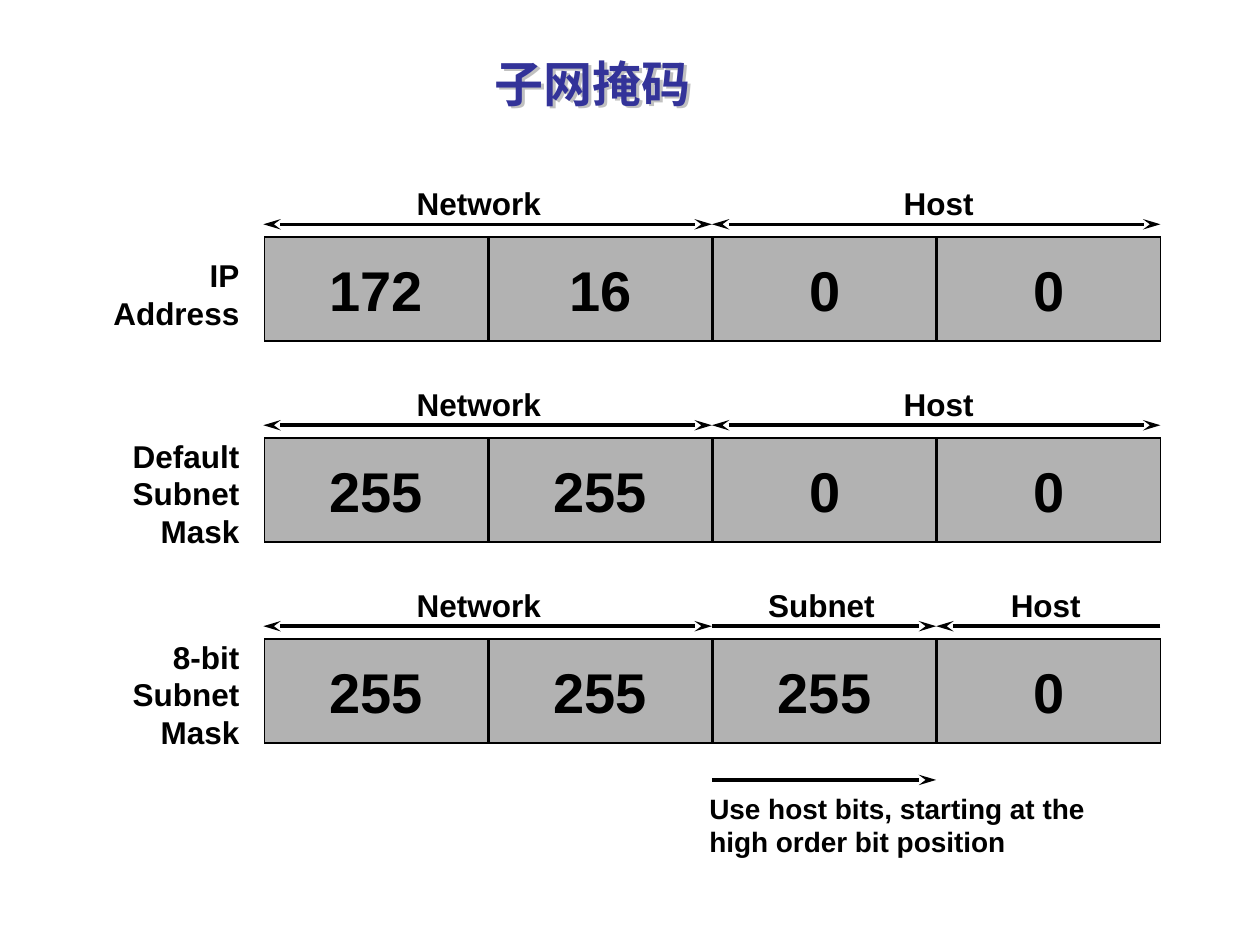
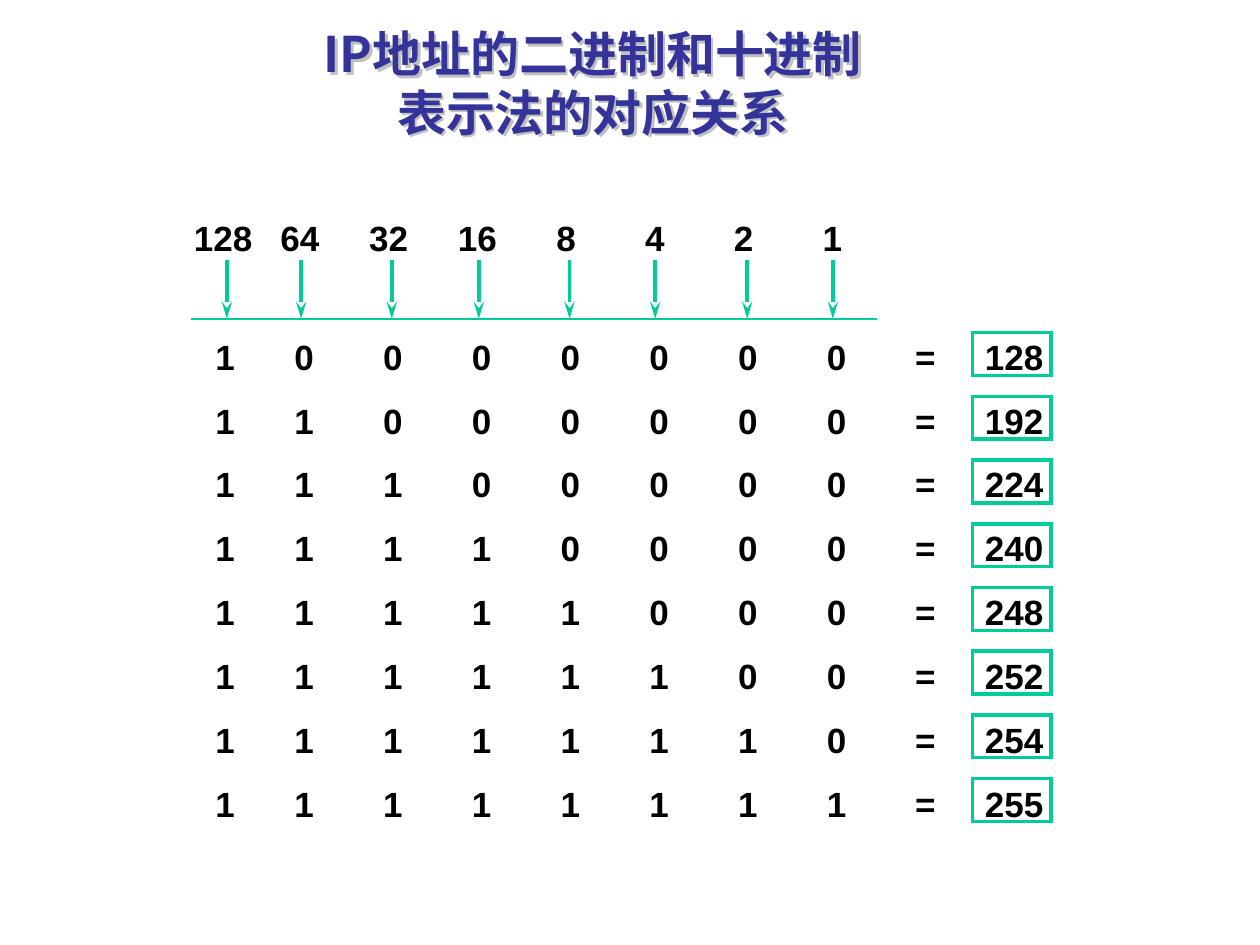
from typing import NamedTuple, Optional

from lxml import etree
from pptx import Presentation
from pptx import util as u
from pptx.dml.color import RGBColor
from pptx.enum import shapes, text
from pptx.oxml.ns import qn

Al = text.PP_ALIGN
An = text.MSO_ANCHOR


class Theme(NamedTuple):
    title: str = "333399"
    ink: str = "000000"
    cell: str = "B2B2B2"
    green: str = "00CC99"
    shade: str = "C0C0C0"
    sans: str = "Arial"
    cjk: str = "Noto Sans CJK SC"
    head: int = 28
    octet: int = 32
    label: int = 18
    digit: int = 20
    note: int = 16


class Box(NamedTuple):
    x: float
    y: float
    w: float
    h: float


class Span(NamedTuple):
    name: str
    start: int
    end: int
    mid: float
    both: bool = False


class Row(NamedTuple):
    name: str
    top: float
    octets: tuple
    spans: tuple


T = Theme()
WIDE, HIGH = 10, 7.5
LEFT, TOP = 2.09, 1.88
COL, ROW = 1.78, 3.19 / 2
NET = Span("Network", 0, 2, 3.8, True)
HOST = Span("Host", 2, 4, 7.45, True)
ROWS = (
    Row("IP\vAddress", 0.09, (172, 16, 0, 0), (NET, HOST)),
    Row("Default\vSubnet\vMask", -0.07, (255, 255, 0, 0), (NET, HOST)),
    Row("8-bit\vSubnet\vMask", -0.07, (255, 255, 255, 0),
        (NET, Span("Subnet", 2, 3, 6.52), Span("Host", 4, 3, 8.3))),
)
DROPS = (1.8, 2.39, 3.11, 3.8, 4.52, 5.2, 5.93, 6.61)
BITS = len(DROPS)


def color(code: str) -> RGBColor:
    return RGBColor.from_string(code)


def sub(root, tag: str, **attrs):
    return etree.SubElement(root, qn(tag), **attrs)


def write(frame, words: str, *, size: int, ink: str = T.ink, font: str = T.sans,
          align=Al.LEFT, anchor=An.TOP, before: float = 0, tabs: tuple = (),
          pad: tuple = (0.11, 0.06), wrap: bool = True) -> None:
    frame.word_wrap = wrap
    frame.auto_size = text.MSO_AUTO_SIZE.NONE
    frame.vertical_anchor = anchor
    frame.margin_left = frame.margin_right = u.Inches(pad[0])
    frame.margin_top = frame.margin_bottom = u.Inches(pad[1])
    for n, line in enumerate(words.split("\n")):
        par = frame.add_paragraph() if n else frame.paragraphs[0]
        par.text = line
        par.alignment = align
        if n and before:
            par.space_before = u.Pt(before)
        if tabs:
            stops = sub(par._p.get_or_add_pPr(), "a:tabLst")
            for pos in tabs:
                sub(stops, "a:tab", pos=str(u.Inches(pos)), algn="ctr")
        for run in par.runs:
            run.font.size = u.Pt(size)
            run.font.bold = True
            run.font.name = font
            run.font.color.rgb = color(ink)
            if font == T.cjk:
                latin = run._r.rPr.find(qn("a:latin"))
                latin.addnext(etree.Element(qn("a:ea"), typeface=font))


def note(slide, box: Box, words: str, **form) -> None:
    shape = slide.shapes.add_textbox(*map(u.Inches, box))
    write(shape.text_frame, words, **form)


def rect(slide, box: Box, edge: str, width: float, fill: Optional[str] = None):
    shape = slide.shapes.add_shape(shapes.MSO_SHAPE.RECTANGLE,
                                   *map(u.Inches, box))
    shape.shadow.inherit = False
    if fill:
        shape.fill.solid()
        shape.fill.fore_color.rgb = color(fill)
    else:
        shape.fill.background()
    shape.line.color.rgb = color(edge)
    shape.line.width = u.Pt(width)
    sub(shape.line._ln, "a:miter", lim="800000")
    return shape


def rule(slide, x: float, y: float, right: float, low: float, ink: str,
         width: float = 2, head: bool = False, tail: bool = True) -> None:
    line = slide.shapes.add_connector(shapes.MSO_CONNECTOR.STRAIGHT,
                                      *map(u.Inches, (x, y, right, low)))
    line.line.color.rgb = color(ink)
    line.line.width = u.Pt(width)
    for tag, on in (("a:headEnd", head), ("a:tailEnd", tail)):
        if on:
            sub(line.line._ln, tag, type="stealth", w="med", len="lg")
    sub(line._element.spPr, "a:effectLst")


def page(deck, words: str):
    slide = deck.slides.add_slide(deck.slide_layouts[5])
    head = slide.shapes.title
    head.left, head.top = u.Inches(0.83), u.Inches(0.28)
    head.width, head.height = u.Inches(7.75), u.Inches(0.75)
    write(head.text_frame, words, size=T.head, ink=T.title, font=T.cjk,
          align=Al.CENTER, anchor=An.MIDDLE, pad=(0.09, 0.04))
    head.fill.background()
    glow = sub(head._element.spPr, "a:effectLst")
    cast = sub(glow, "a:outerShdw", dist="25400", dir="2700000")
    sub(cast, "a:srgbClr", val=T.shade)
    return slide


def band(slide, row: Row, top: float) -> None:
    for c, octet in enumerate(row.octets):
        cell = rect(slide, Box(LEFT + 0.01 + c * COL, top, COL - 0.01, 0.83),
                    T.ink, 1, T.cell)
        write(cell.text_frame, str(octet), size=T.octet, align=Al.CENTER,
              anchor=An.MIDDLE, wrap=False)
    note(slide, Box(0.5, top + row.top, 1.51, 1.01), row.name,
         size=T.label, align=Al.RIGHT)
    for span in row.spans:
        note(slide, Box(span.mid - 0.7, top - 0.48, 1.4, 0.41), span.name,
             size=T.label, align=Al.CENTER)
        rule(slide, LEFT + span.start * COL, top - 0.1,
             LEFT + span.end * COL, top - 0.1, T.ink, head=span.both)


def masks(deck) -> None:
    slide = page(deck, "子网掩码")
    for n, row in enumerate(ROWS):
        band(slide, row, TOP + n * ROW)
    rule(slide, LEFT + 2 * COL, 6.19, LEFT + 3 * COL, 6.19, T.ink)
    note(slide, Box(5.52, 6.22, 3.4, 0.65),
         "Use host bits, starting at the\nhigh order bit position", size=T.note)


def binary(deck) -> None:
    slide = page(deck, "IP地址的二进制和十进制\v表示法的对应关系")
    lines = []
    for n in range(BITS):
        ones = "1" * (n + 1) + "0" * (BITS - n - 1)
        lines.append("\t".join((*ones, "=", str(int(ones, 2)))))
    step = 6.34 / 9
    for n in range(BITS):
        rect(slide, Box(7.72, 2.64 + n * 3.54 / 7, 0.62, 0.34), T.green, 2)
    note(slide, Box(1.6, 2.6, 7.1, 4), "\n".join(lines), size=T.digit,
         before=12.5, tabs=tuple(step * k for k in range(1, BITS + 2)))
    powers = "\t".join(str(2 ** k) for k in reversed(range(BITS)))
    note(slide, Box(1.43, 1.66, 5.6, 0.45), powers, size=T.digit,
         tabs=tuple(0.84 + step * k for k in range(BITS - 1)))
    rule(slide, 1.52, 2.53, 6.96, 2.53, T.green, width=1, tail=False)
    for x in DROPS:
        rule(slide, x, 2.06, x, 2.53, T.green)


def main() -> None:
    deck = Presentation()
    deck.slide_width, deck.slide_height = u.Inches(WIDE), u.Inches(HIGH)
    masks(deck)
    binary(deck)
    deck.save("out.pptx")


if __name__ == "__main__":
    main()
